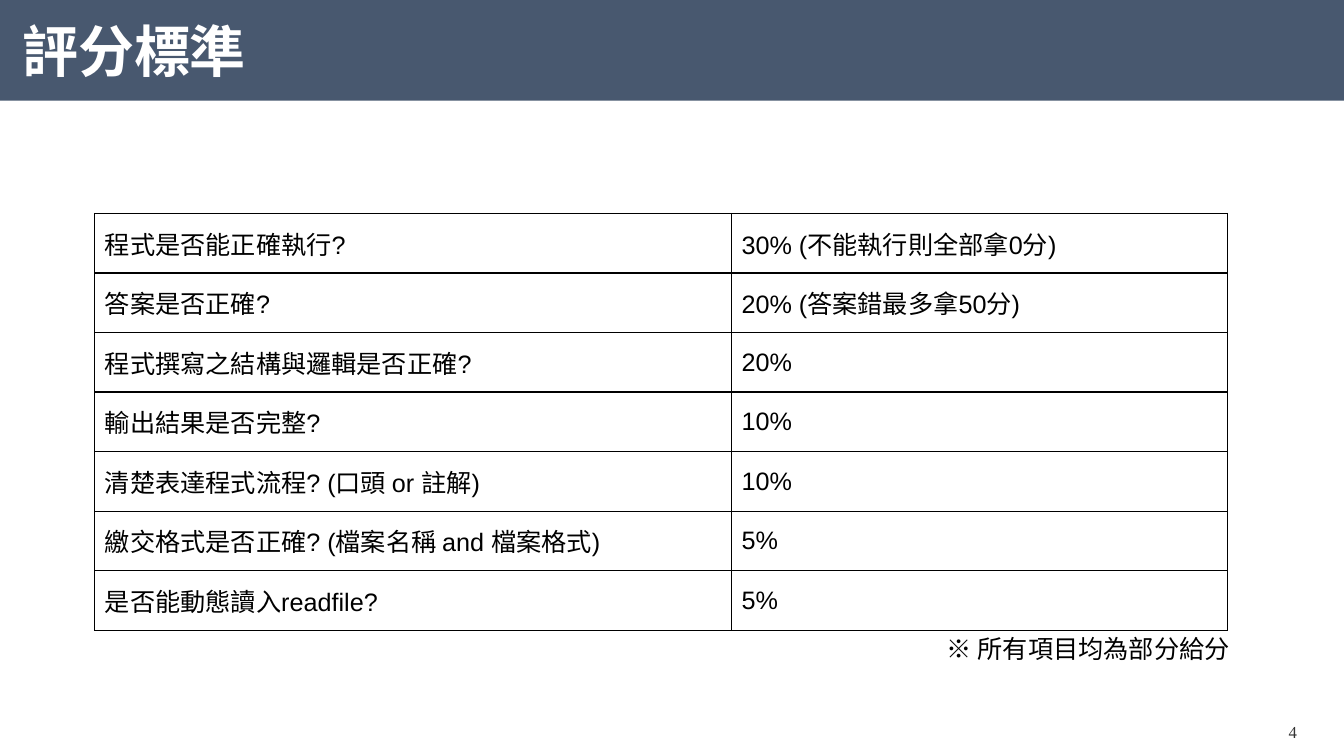
"""Build the grading criteria slide."""
from lxml import etree
from pptx import Presentation
from pptx.dml.color import RGBColor
from pptx.enum.shapes import MSO_SHAPE
from pptx.enum.text import MSO_ANCHOR, PP_ALIGN
from pptx.oxml.ns import qn
from pptx.util import Cm, Pt

TITLE = "評分標準"
CRITERIA = [
    ("程式是否能正確執行?", "30% (不能執行則全部拿0分)"),
    ("答案是否正確?", "20% (答案錯最多拿50分)"),
    ("程式撰寫之結構與邏輯是否正確?", "20%"),
    ("輸出結果是否完整?", "10%"),
    ("清楚表達程式流程? (口頭 or 註解)", "10%"),
    ("繳交格式是否正確? (檔案名稱 and 檔案格式)", "5%"),
    ("是否能動態讀入readfile?", "5%"),
]
NOTE = "※ 所有項目均為部分給分"
PAGE_NUMBER = "4"

COLORS = {"bar": "48586F", "white": "FFFFFF", "black": "000000", "gray": "333333"}
RECTANGLE = MSO_SHAPE.RECTANGLE
TOP, MIDDLE = MSO_ANCHOR.TOP, MSO_ANCHOR.MIDDLE
LEFT, CENTER = PP_ALIGN.LEFT, PP_ALIGN.CENTER

PAGE_WIDTH, PAGE_HEIGHT = 33.88, 19.05
TABLE_LEFT, TABLE_TOP = 2.39, 5.38
COLUMN_WIDTHS = (16.05, 12.5)
ROW_HEIGHT = 1.5
TABLE_HEIGHT = ROW_HEIGHT * len(CRITERIA)


def color(name):
    return RGBColor.from_string(COLORS[name])


def write(frame, text, size=18, ink="black", font="Arial", bold=False, align=LEFT):
    para = frame.paragraphs[0]
    para.alignment = align
    span = para.add_run()
    span.text = text
    span.font.size = Pt(size)
    span.font.name = font
    span.font.bold = bold
    span.font.color.rgb = color(ink)
    return para


def add_box(page, left, top, width, height, anchor=TOP):
    box = page.shapes.add_textbox(Cm(left), Cm(top), Cm(width), Cm(height))
    frame = box.text_frame
    frame.word_wrap = True
    frame.vertical_anchor = anchor
    return frame


def add_borders(cell):
    properties = cell._tc.get_or_add_tcPr()
    for index, side in enumerate(("a:lnL", "a:lnR", "a:lnT", "a:lnB")):
        line = etree.Element(qn(side), w=str(Pt(1)))
        fill = etree.SubElement(line, qn("a:solidFill"))
        etree.SubElement(fill, qn("a:srgbClr"), val=COLORS["black"])
        properties.insert(index, line)


def add_header(page):
    bar = page.shapes.add_shape(RECTANGLE, 0, 0, Cm(PAGE_WIDTH), Cm(2.54))
    bar.shadow.inherit = False
    bar.fill.solid()
    bar.fill.fore_color.rgb = color("bar")
    bar.line.fill.background()
    frame = add_box(page, 0.56, 0.43, 28.55, 1.88, MIDDLE)
    frame.margin_left = frame.margin_right = 0
    frame.margin_top = frame.margin_bottom = 0
    write(frame, TITLE, size=40, ink="white", bold=True).line_spacing = 0.9


def add_criteria(page):
    table = page.shapes.add_table(
        len(CRITERIA), len(COLUMN_WIDTHS), Cm(TABLE_LEFT), Cm(TABLE_TOP),
        Cm(sum(COLUMN_WIDTHS)), Cm(TABLE_HEIGHT)).table
    table.first_row = table.horz_banding = False
    for column, width in zip(table.columns, COLUMN_WIDTHS):
        column.width = Cm(width)
    for row, texts in zip(table.rows, CRITERIA):
        row.height = Cm(ROW_HEIGHT)
        for cell, text in zip(row.cells, texts):
            cell.vertical_anchor = MIDDLE
            cell.fill.solid()
            cell.fill.fore_color.rgb = color("white")
            add_borders(cell)
            write(cell.text_frame, text)


def main():
    deck = Presentation()
    deck.slide_width, deck.slide_height = Cm(PAGE_WIDTH), Cm(PAGE_HEIGHT)
    page = deck.slides.add_slide(deck.slide_layouts[6])
    add_header(page)
    add_criteria(page)
    write(add_box(page, 23.62, TABLE_TOP + TABLE_HEIGHT - 0.05, 8.33, 1.02), NOTE)
    write(add_box(page, 31.32, 18.06, 2.54, 0.71), PAGE_NUMBER,
          size=12, ink="gray", font="Times New Roman", align=CENTER)
    deck.save("out.pptx")


if __name__ == "__main__":
    main()
